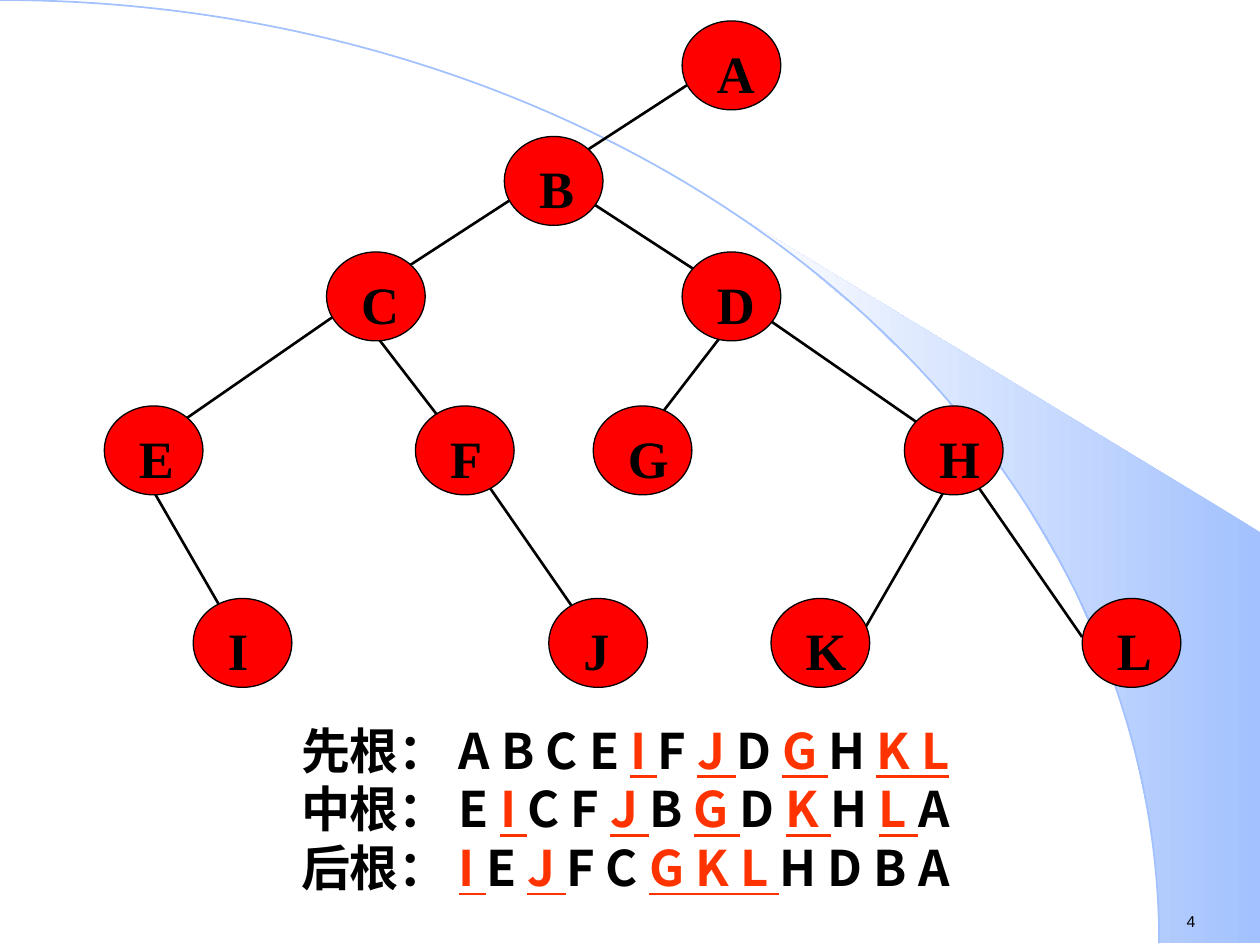
from math import cos, radians, sin

from pptx import Presentation
from pptx.dml.color import RGBColor
from pptx.enum.shapes import MSO_CONNECTOR as Connector, MSO_SHAPE as Shape
from pptx.enum.text import MSO_ANCHOR as Anchor, PP_ALIGN as Align
from pptx.oxml.ns import qn
from pptx.util import Pt


def color(hex_code):
    return RGBColor.from_string(hex_code)


def set_text_frame(shape, wrap=True, margins=(0, 0, 0, 0)):
    """Anchor the text at the top, set its margins and return the first paragraph."""
    frame = shape.text_frame
    frame.word_wrap = wrap
    frame.vertical_anchor = Anchor.TOP
    frame.margin_left, frame.margin_top, frame.margin_right, frame.margin_bottom = map(Pt, margins)
    return frame.paragraphs[0]


prs = Presentation()
prs.slide_width, prs.slide_height = Pt(720), Pt(540)
slide = prs.slides.add_slide(prs.slide_layouts[6])
shapes = slide.shapes

# Background: a quarter ellipse and the shaded wedge outside it
radius_x, radius_y = 662.4, 539
curve = [(radius_x * cos(radians(angle)), radius_y * (1 - sin(radians(angle))))
         for angle in range(50, -1, -2)]
builder = shapes.build_freeform(*curve[0], scale=Pt(1))
builder.add_line_segments(curve[1:] + [(719.5, 539), (719.5, 304.5)], close=True)
wedge = builder.convert_to_shape()
wedge.shadow.inherit = False
wedge.line.fill.background()
wedge.fill.gradient()
wedge.fill.gradient_angle = 180
for stop, shade in zip(wedge.fill.gradient_stops, ("A2C1FE", "FEFEFE")):
    stop.color.rgb = color(shade)

arc = shapes.add_shape(Shape.ARC, Pt(-radius_x), Pt(0), Pt(2 * radius_x), Pt(2 * radius_y))
arc.shadow.inherit = False
arc.fill.background()
arc.line.color.rgb = color("A2C1FE")
arc.line.width = Pt(1)

page_number = shapes.add_textbox(Pt(671), Pt(517.7), Pt(55.4), Pt(18))
run = set_text_frame(page_number, False, (7.2, 3.6, 7.2, 3.6)).add_run()
run.text = "4"
run.font.name = "Arial"
run.font.size = Pt(9)
run.font.color.rgb = color("000000")

# Tree: nodes sit on a grid of (column, row) units
column_width, row_height = 25.4, 22
tree_left, tree_top = 59.6, 12
grid = {
    "G": (11, 10), "F": (7, 10), "E": (0, 10), "D": (13, 6), "C": (5, 6), "B": (9, 3),
    "A": (13, 0), "L": (22, 15), "K": (15, 15), "J": (10, 15), "I": (2, 15), "H": (18, 10),
}
nodes = {letter: (tree_left + column * column_width, tree_top + row * row_height)
         for letter, (column, row) in grid.items()}

# Parent, child, rows below the parent's top, columns right of the child's left
edges = [
    ("A", "B", 1, 1), ("B", "C", 1, 1), ("B", "D", 1, 1), ("C", "E", 1, 1),
    ("C", "F", 2, 1), ("D", "G", 2, 1), ("D", "H", 1, 1), ("E", "I", 2, 1),
    ("F", "J", 1, 1), ("H", "K", 2, 2), ("H", "L", 1, 0),
]
for parent, child, rows_down, columns_in in edges:
    parent_x, parent_y = nodes[parent]
    child_x, child_y = nodes[child]
    edge = shapes.add_connector(
        Connector.STRAIGHT,
        Pt(parent_x + column_width), Pt(parent_y + rows_down * row_height),
        Pt(child_x + columns_in * column_width), Pt(child_y + row_height))
    edge.line.color.rgb = color("000000")
    edge.line.width = Pt(1.5)
    properties = edge._element.spPr
    properties.append(properties.makeelement(qn("a:effectLst"), {}))

for letter, (x, y) in nodes.items():
    node = shapes.add_shape(Shape.OVAL, Pt(x), Pt(y), Pt(56.4), Pt(50.8))
    label = shapes.add_shape(Shape.RECTANGLE, Pt(x + 19.8), Pt(y + 11.3), Pt(25.2), Pt(31))
    for part in (node, label):
        part.shadow.inherit = False
        part.fill.solid()
        part.fill.fore_color.rgb = color("FF0000")
    node.line.color.rgb = color("000000")
    node.line.width = Pt(0.75)
    label.line.fill.background()
    paragraph = set_text_frame(label)
    paragraph.alignment = Align.LEFT
    run = paragraph.add_run()
    run.text = letter
    run.font.name = "Times New Roman"
    run.font.size = Pt(30)
    run.font.bold = True
    run.font.color.rgb = color("000000")

# Traversal orders: every second run is a group of underlined leaves
traversals = [
    ["先根： A B C E ", "I ", "F ", "J ", "D ", "G ", "H ", "K L"],
    ["中根： E ", "I ", "C F ", "J ", "B ", "G ", "D ", "K ", "H ", "L ", "A"],
    ["后根： ", "I ", "E ", "J ", "F C ", "G K L ", "H D B A"],
]
orders = shapes.add_textbox(Pt(36.9), Pt(411.6), Pt(640.8), Pt(100.8))
paragraph = set_text_frame(orders)
paragraph.alignment = Align.CENTER
paragraph.line_spacing = Pt(33.6)
for line_index, pieces in enumerate(traversals):
    if line_index:
        paragraph.add_line_break()
    for piece_index, piece in enumerate(pieces):
        is_leaf = piece_index % 2 == 1
        run = paragraph.add_run()
        run.text = piece
        run.font.name = "Noto Sans CJK SC"
        run.font.size = Pt(28)
        run.font.bold = True
        run.font.underline = is_leaf
        run.font.color.rgb = color("FF3300" if is_leaf else "000000")
        east_asian = run.font._element.makeelement(qn("a:ea"), {"typeface": "Noto Sans CJK SC"})
        run.font._element.append(east_asian)

prs.save("out.pptx")
